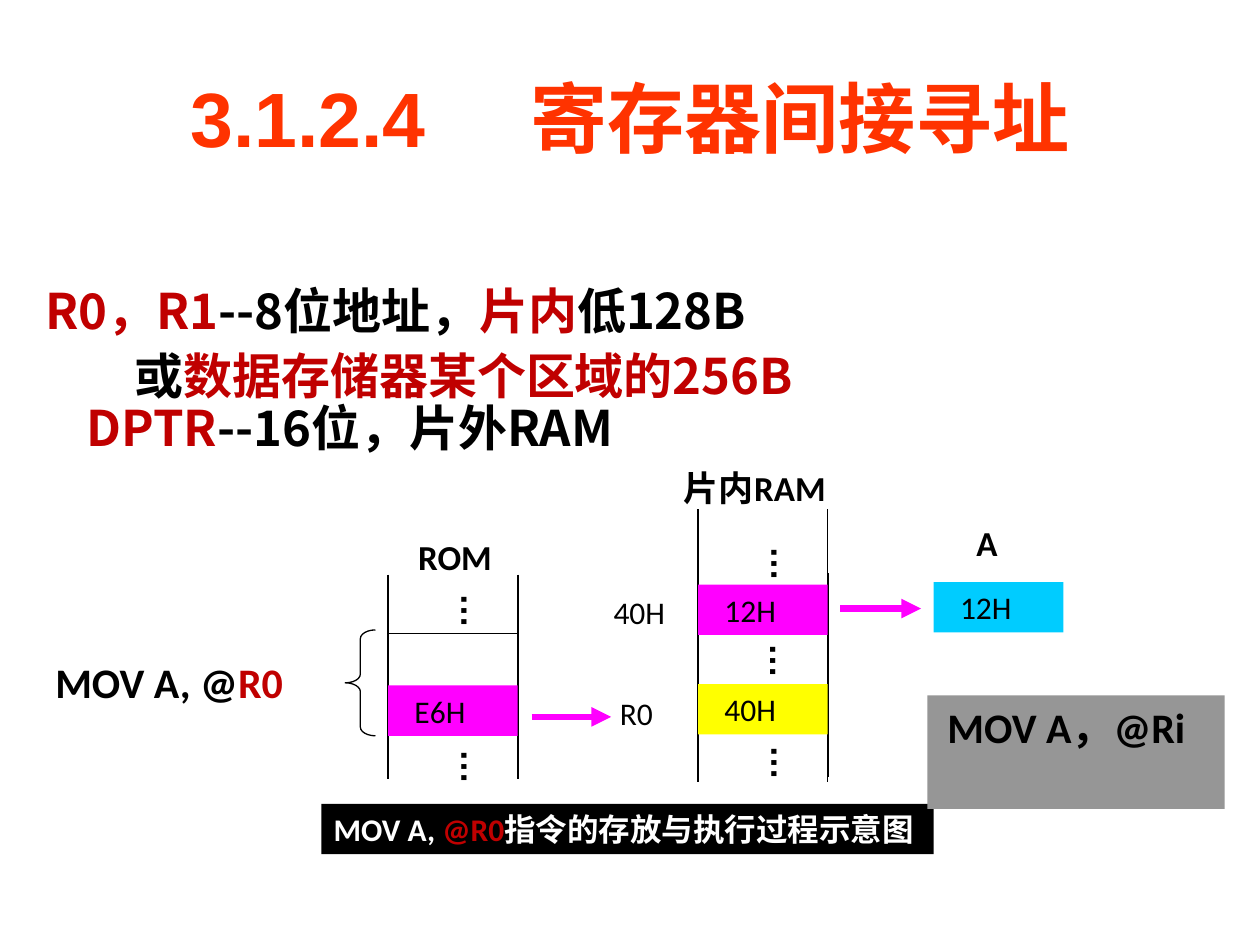
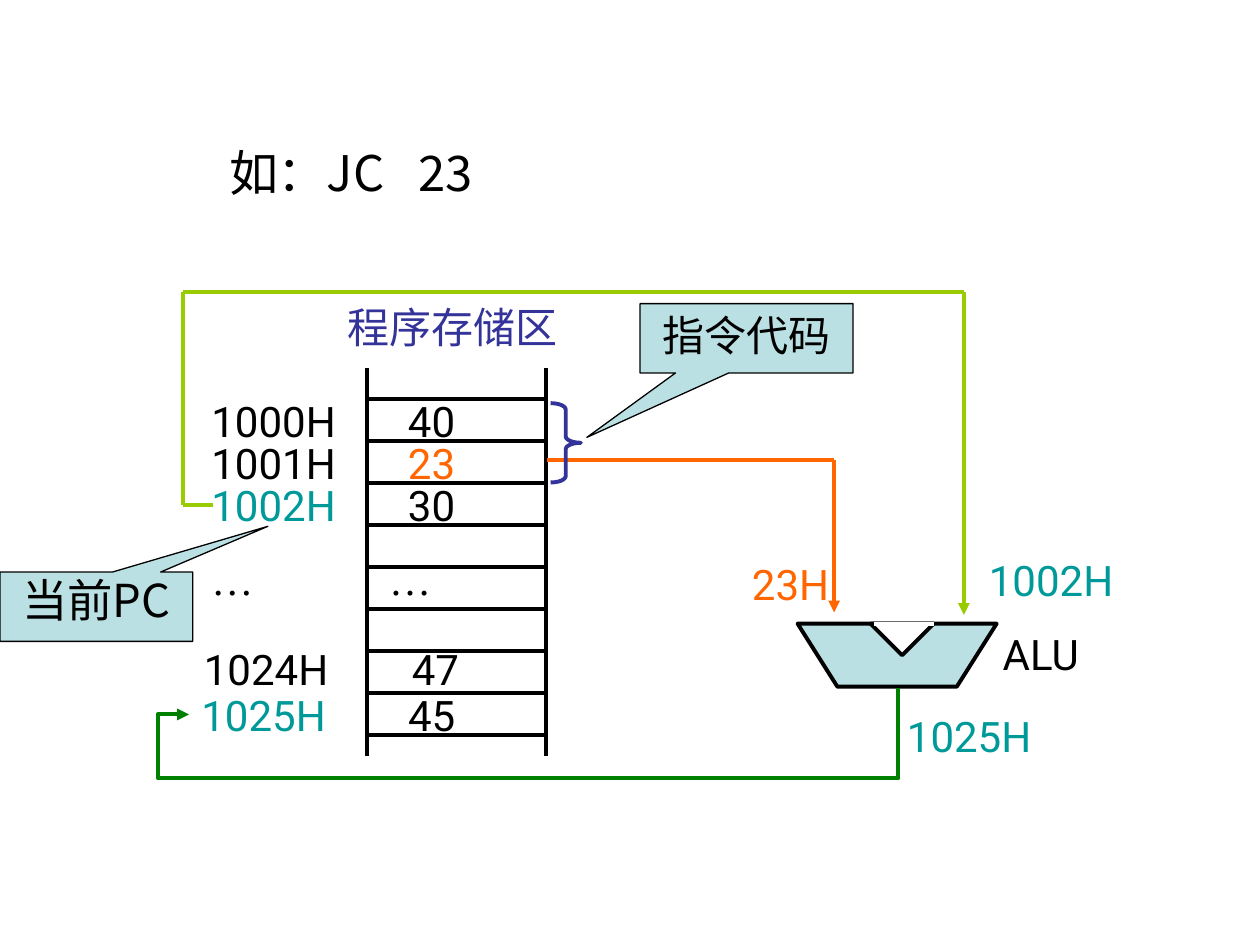
from dataclasses import dataclass
from typing import NamedTuple, Optional

from lxml.etree import SubElement
from pptx import Presentation
from pptx.dml.color import RGBColor
from pptx.enum.shapes import MSO_CONNECTOR, MSO_SHAPE
from pptx.enum.text import MSO_ANCHOR, MSO_AUTO_SIZE, PP_ALIGN
from pptx.oxml.ns import qn
from pptx.util import Inches, Pt

COLORS = {
    "black": "000000",
    "white": "FFFFFF",
    "title": "FF3300",
    "red": "C00000",
    "magenta": "FF00FF",
    "yellow": "FFFF00",
    "sky": "00CCFF",
    "gray": "969696",
    "pale": "BBE0E3",
    "navy": "333399",
    "teal": "009999",
    "orange": "FF6600",
    "lime": "99CC00",
    "green": "008000",
}
CHINESE_FONT = "Noto Sans CJK SC"
INSET = 0.1


class Box(NamedTuple):
    left: float
    top: float
    width: float
    height: float

    def lengths(self) -> list:
        return [Inches(value) for value in self]


class Run(NamedTuple):
    text: str
    color: str = "black"


@dataclass(frozen=True)
class Style:
    size: float
    font: str = "Calibri"
    bold: bool = False


@dataclass(frozen=True)
class Line:
    """A run of points drawn as joined straight connectors."""
    points: tuple
    color: str = "black"
    width: float = 2.25
    arrow: bool = False


@dataclass(frozen=True)
class Cell:
    box: Box
    text: str
    fill: Optional[str] = None


@dataclass(frozen=True)
class MemoryRow:
    left: float
    top: float
    address: Run
    value: Run
    value_left: float = 3.24
    font: str = "Roboto"


BODY = Style(28, CHINESE_FONT, True)
CELL = Style(18)
HEADING = Style(20, bold=True)
INSTRUCTION = Style(24, bold=True)
DOTS = Style(20, "Arial", True)
LABEL = Style(24, "Roboto")


def rgb(name: str) -> RGBColor:
    return RGBColor.from_string(COLORS[name])


def write(paragraph, runs: list, style: Style, tab: Optional[float] = None) -> None:
    if tab is not None:
        tab_list = SubElement(paragraph._p.get_or_add_pPr(), qn("a:tabLst"))
        SubElement(tab_list, qn("a:tab"), pos=str(Inches(tab)), algn="l")
    font = paragraph.font
    font.size, font.bold, font.name = Pt(style.size), style.bold, style.font
    same_color = len({run.color for run in runs}) == 1
    if same_color:
        font.color.rgb = rgb(runs[0].color)
    SubElement(font._element, qn("a:ea"), typeface=style.font)
    for text, color in runs:
        run = paragraph.add_run()
        run.text = text
        if not same_color:
            run.font.color.rgb = rgb(color)


def prepare_frame(shape, wrap: bool = True, left_inset: float = INSET):
    frame = shape.text_frame
    frame.word_wrap = wrap
    frame.vertical_anchor = MSO_ANCHOR.TOP
    frame.margin_left = Inches(left_inset)
    if not wrap:
        frame.auto_size = MSO_AUTO_SIZE.SHAPE_TO_FIT_TEXT
    return frame


def add_text(slide, box: Box, runs: list, style: Style, wrap: bool = True,
             left_inset: float = INSET, tab: Optional[float] = None):
    frame = prepare_frame(slide.shapes.add_textbox(*box.lengths()), wrap, left_inset)
    write(frame.paragraphs[0], runs, style, tab)
    return frame


def add_shape(slide, kind, box: Box, fill: Optional[str] = None,
              line: Optional[str] = None, width: float = 2.25, adjustments: tuple = ()):
    shape = slide.shapes.add_shape(kind, *box.lengths())
    shape.shadow.inherit = False
    for index, value in enumerate(adjustments):
        shape.adjustments[index] = value
    if fill:
        shape.fill.solid()
        shape.fill.fore_color.rgb = rgb(fill)
    else:
        shape.fill.background()
    if line:
        shape.line.color.rgb = rgb(line)
        shape.line.width = Pt(width)
    else:
        shape.line.fill.background()
    return shape


def label_shape(shape, runs: list, style: Style, left_inset: float = INSET,
                align=PP_ALIGN.LEFT, spacing: float = 1.0):
    frame = prepare_frame(shape, left_inset=left_inset)
    paragraph = frame.paragraphs[0]
    paragraph.alignment = align
    paragraph.line_spacing = spacing
    write(paragraph, runs, style)
    return frame


def add_connector(slide, start: tuple, end: tuple, color: str, width: float,
                  arrow: bool, kind=MSO_CONNECTOR.STRAIGHT):
    connector = slide.shapes.add_connector(
        kind, *(Inches(value) for value in (*start, *end)))
    connector.line.color.rgb = rgb(color)
    connector.line.width = Pt(width)
    if arrow:
        SubElement(connector.line._get_or_add_ln(), qn("a:tailEnd"), type="triangle")
    SubElement(connector._element.spPr, qn("a:effectLst"))
    return connector


def draw_line(slide, line: Line) -> None:
    last = len(line.points) - 2
    for index, (start, end) in enumerate(zip(line.points, line.points[1:])):
        add_connector(slide, start, end, line.color, line.width,
                      line.arrow and index == last)


def draw_cell(slide, cell: Cell) -> None:
    inset = 0.21
    if cell.fill:
        shape = add_shape(slide, MSO_SHAPE.RECTANGLE, cell.box, cell.fill)
        label_shape(shape, [Run(cell.text)], CELL, inset)
    else:
        add_text(slide, cell.box, [Run(cell.text)], CELL, left_inset=inset)


def draw_dots(slide, left: float, top: float) -> None:
    """Vertical ellipsis standing for the memory cells left out."""
    frame = add_text(slide, Box(left, top, 0.53, 0.38), [Run("…")], DOTS,
                     wrap=False, left_inset=0.05)
    frame.margin_right = frame.margin_top = Inches(0.05)
    frame.margin_bottom = Inches(0.1)
    frame._txBody.bodyPr.set("vert", "eaVert")


def draw_callout(slide, box: Box, pointer: tuple, text: str, size: float,
                 spacing: float = 1.0) -> None:
    shape = add_shape(slide, MSO_SHAPE.RECTANGULAR_CALLOUT, box, "pale", "black",
                      0.75, pointer)
    label_shape(shape, [Run(text)], Style(size, CHINESE_FONT), align=PP_ALIGN.CENTER,
                spacing=spacing)


def build_indirect_addressing(presentation) -> None:
    slide = presentation.slides.add_slide(presentation.slide_layouts[5])
    title = slide.shapes.title
    title.left, title.top, title.width, title.height = Box(0.5, 0.3, 9, 1.25).lengths()
    frame = prepare_frame(title, left_inset=1.01)
    frame.vertical_anchor = MSO_ANCHOR.MIDDLE
    frame.paragraphs[0].alignment = PP_ALIGN.LEFT
    write(frame.paragraphs[0], [Run("3.1.2.4\t寄存器间接寻址", "title")],
          Style(44, "Arial", True), tab=2.7)

    frame = prepare_frame(slide.shapes.add_textbox(*Box(0, 2.13, 7.91, 2.06).lengths()))
    register_lines = [
        (0.26, 1.1, [Run("R0，R1", "red"), Run("--8位地址，"), Run("片内", "red"),
                     Run("低128B")]),
        (0.97, 1.1, [Run("或"), Run("数据存储器某个区域的256B", "red")]),
        (0.59, 0.9, [Run("DPTR", "red"), Run("--16位，片外RAM")]),
    ]
    for index, (indent, spacing, runs) in enumerate(register_lines):
        paragraph = frame.add_paragraph() if index else frame.paragraphs[0]
        paragraph.line_spacing = spacing
        paragraph._p.get_or_add_pPr().set("marL", str(Inches(indent)))
        write(paragraph, runs, BODY)

    rom, ram, cell_width = 3.08, 5.54, 1.03
    for left, top, bottom, width in ((rom, 4.56, 6.18, 1), (ram, 4.55, 6.17, 1),
                                     (ram, 4.04, 6.21, 0.75)):
        for x in (left, left + cell_width):
            draw_line(slide, Line(((x, top), (x, bottom)), width=width))
    for left in (rom, ram):
        draw_line(slide, Line(((left, 5.03), (left + cell_width, 5.03)), width=0.75))

    for cell in (
        Cell(Box(rom, 5.44, cell_width, 0.4), "E6H", "magenta"),
        Cell(Box(ram, 4.64, cell_width, 0.4), "12H", "magenta"),
        Cell(Box(ram, 5.43, cell_width, 0.4), "40H", "yellow"),
        Cell(Box(7.41, 4.62, cell_width, 0.4), "12H", "sky"),
        Cell(Box(4.71, 5.46, 0.69, 0.4), "R0"),
        Cell(Box(4.66, 4.66, cell_width, 0.4), "40H"),
    ):
        draw_cell(slide, cell)
    for left, top in ((3.46, 4.61), (3.46, 5.85), (5.92, 4.24), (5.91, 5.01), (5.92, 5.82)):
        draw_dots(slide, left, top)
    for text, box in (("ROM", Box(3.22, 4.2, 0.79, 0.44)),
                      ("片内RAM", Box(5.33, 3.65, 1.39, 0.44)),
                      ("A", Box(7.65, 4.09, 0.37, 0.44))):
        add_text(slide, box, [Run(text)], HEADING, wrap=False)
    for start, end in (((4.22, 5.69), (4.85, 5.69)), ((6.67, 4.83), (7.31, 4.83))):
        draw_line(slide, Line((start, end), "magenta", 3.75, arrow=True))

    add_text(slide, Box(0.34, 5.16, 2.01, 0.5), [Run("MOV A, @"), Run("R0", "red")],
             INSTRUCTION, wrap=False)
    add_shape(slide, MSO_SHAPE.LEFT_BRACE, Box(2.74, 5, 0.24, 0.84), line="black",
              width=0.75, adjustments=(0.29, 0.5))
    caption = add_shape(slide, MSO_SHAPE.RECTANGLE, Box(2.55, 6.38, 4.86, 0.4), "black")
    caption_frame = label_shape(
        caption, [Run("MOV A, ", "white"), Run("@R0", "red"),
                  Run("指令的存放与执行过程示意图", "white")], Style(18, bold=True))
    caption_frame.margin_right = 0
    general_form = add_shape(slide, MSO_SHAPE.RECTANGLE, Box(7.36, 5.52, 2.36, 0.9), "gray")
    label_shape(general_form, [Run("MOV A，@Ri")], INSTRUCTION, 0.16)


def build_relative_jump(presentation) -> None:
    slide = presentation.slides.add_slide(presentation.slide_layouts[6])
    left, right = 2.91, 4.33
    for x in (left, right):
        draw_line(slide, Line(((x, 2.92), (x, 6))))
    for index in range(9):
        y = 3.17 + index / 3
        draw_line(slide, Line(((left, y), (right, y))))
    heading = add_shape(slide, MSO_SHAPE.RECTANGLE, Box(2.66, 2.34, 1.92, 0.5), line="white")
    label_shape(heading, [Run("程序存储区", "navy")], LABEL)

    add_shape(slide, MSO_SHAPE.FLOWCHART_MANUAL_OPERATION, Box(6.33, 4.95, 1.58, 0.5),
              "pale", "black")
    notch = add_shape(slide, MSO_SHAPE.ISOSCELES_TRIANGLE, Box(6.91, 4.95, 0.5, 0.25),
                      "white", "black")
    notch.rotation = 180
    draw_line(slide, Line(((6.94, 4.95), (7.41, 4.95)), "white"))

    result = add_connector(slide, (4.21, 2.75), (4.42, 8.38), "green", 2.25, True,
                           MSO_CONNECTOR.ELBOW)
    properties = result._element.spPr
    properties.find(qn("a:xfrm")).set("rot", str(90 * 60000))
    geometry = properties.find(qn("a:prstGeom"))
    geometry.set("prst", "bentConnector4")
    guides = geometry.find(qn("a:avLst"))
    for name, value in (("adj1", 342000), ("adj2", 104400)):
        SubElement(guides, qn("a:gd"), name=name, fmla=f"val {value}")

    draw_line(slide, Line(((1.69, 4.01), (1.45, 4.01), (1.45, 2.32), (7.65, 2.32),
                           (7.65, 4.88)), "lime", arrow=True))
    draw_line(slide, Line(((4.34, 3.65), (6.62, 3.65), (6.62, 4.86)), "orange", arrow=True))

    add_text(slide, Box(1.72, 1.08, 2.44, 1.04), [Run("如：JC\t23")],
             Style(28, CHINESE_FONT), tab=1.5)
    for row in (
        MemoryRow(1.58, 3.09, Run("1000H"), Run("40")),
        MemoryRow(1.58, 3.42, Run("1001H"), Run("23", "orange")),
        MemoryRow(1.58, 3.76, Run("1002H", "teal"), Run("30")),
        MemoryRow(1.58, 4.34, Run("…"), Run("…"), 3.09, "Times New Roman"),
        MemoryRow(1.52, 5.06, Run("1024H"), Run("47"), 3.27),
        MemoryRow(1.5, 5.42, Run("1025H", "teal"), Run("45")),
    ):
        address = Run(row.address.text + "\t", row.address.color)
        add_text(slide, Box(row.left, row.top, 2.83, 0.5), [address, row.value],
                 Style(24, row.font), tab=row.value_left - row.left - INSET)
    for run, box in (
        (Run("ALU"), Box(7.86, 4.94, 0.96, 0.5)),
        (Run("1025H", "teal"), Box(7.1, 5.59, 1.44, 0.5)),
        (Run("23H", "orange"), Box(5.87, 4.38, 0.87, 0.5)),
        (Run("1002H", "teal"), Box(7.75, 4.35, 1.35, 0.5)),
    ):
        add_text(slide, box, [run], LABEL)

    draw_callout(slide, Box(5.08, 2.41, 1.69, 0.55), (-0.75, 1.43), "指令代码", 24)
    draw_callout(slide, Box(0, 4.54, 1.53, 0.55), (0.89, -1.16), "当前PC", 25.9, 0.9)
    add_shape(slide, MSO_SHAPE.RIGHT_BRACE, Box(4.37, 3.2, 0.24, 0.63), line="navy",
              adjustments=(0.21, 0.5))


def main() -> None:
    presentation = Presentation()
    presentation.slide_width, presentation.slide_height = Inches(10), Inches(7.5)
    build_indirect_addressing(presentation)
    build_relative_jump(presentation)
    presentation.save("out.pptx")


if __name__ == "__main__":
    main()
